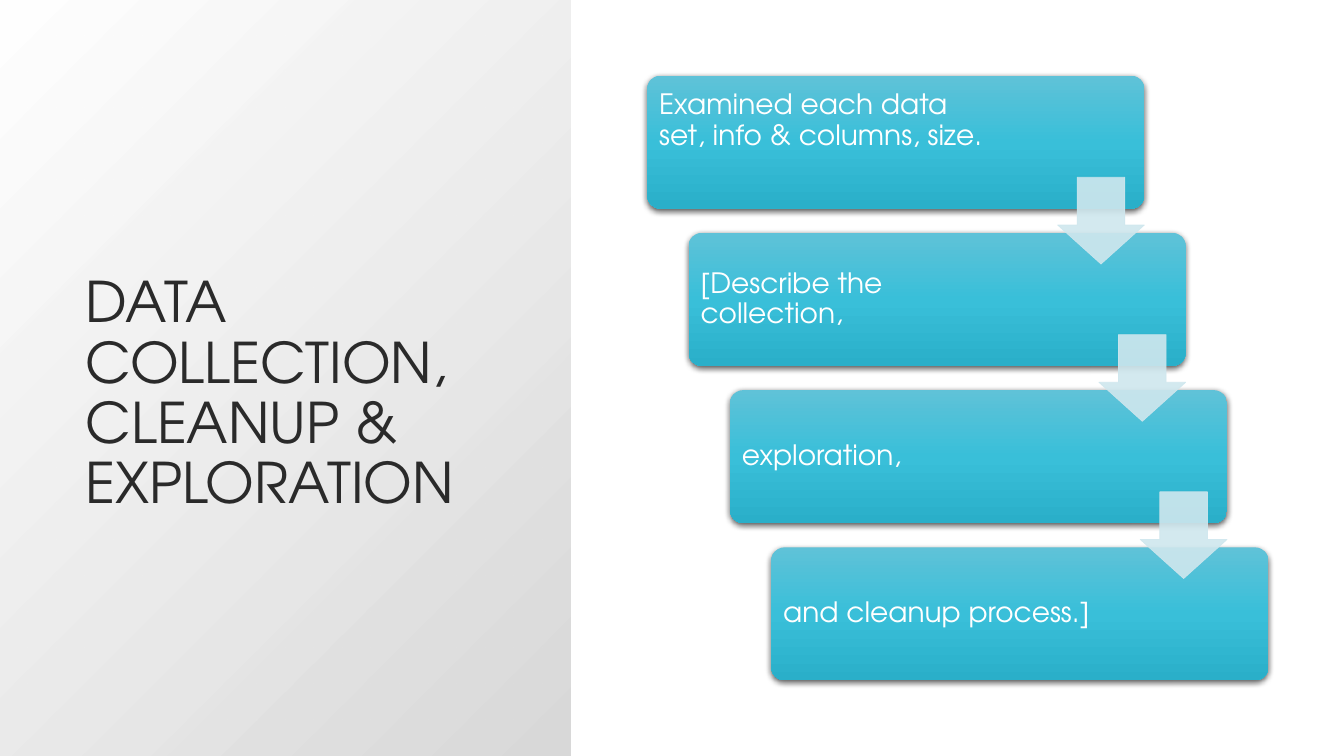
from lxml import etree
from pptx import Presentation
from pptx import util as u
from pptx.dml.color import RGBColor
from pptx.enum import shapes, text
from pptx.oxml.ns import qn

TITLE = "DATA COLLECTION, CLEANUP & EXPLORATION"
# Step text and its bottom inset in inches
STEPS = [
    ("Examined each data set, info & columns, size.", 0.5),
    ("[Describe the collection,", 0.08),
    ("exploration,", 0.08),
    ("and cleanup process.]", 0.08),
]

FONT = "TeX Gyre Adventor"
DARK = RGBColor(0x2A, 0x2A, 0x2A)
WHITE = RGBColor(0xFF, 0xFF, 0xFF)
GREY = RGBColor(0xD9, 0xD9, 0xD9)
BLACK = RGBColor(0x00, 0x00, 0x00)
PALE = RGBColor(0xCF, 0xE7, 0xEE)
TEALS = [RGBColor(0x5F, 0xC2, 0xD8), RGBColor(0x39, 0xBF, 0xD9), RGBColor(0x2A, 0xAF, 0xC9)]

FIRST_LEFT, FIRST_TOP = 6.42, 0.75
STEP_X, STEP_Y = 0.41, 1.56
BOX_W, BOX_H = 4.93, 1.32
ARROW, ARROW_DROP = 0.86, 1.01


def add_color(parent, color, alpha=100):
    node = etree.SubElement(parent, qn("a:srgbClr"), val=str(color))
    if alpha < 100:
        etree.SubElement(node, qn("a:alpha"), val=str(alpha * 1000))


def set_gradient(shape, stops):
    """Fill with (position, colour, alpha) stops; return the element for its direction."""
    shape.fill.solid()
    solid = shape._element.spPr.find(qn("a:solidFill"))
    gradient = etree.Element(qn("a:gradFill"), rotWithShape="1")
    solid.getparent().replace(solid, gradient)
    stop_list = etree.SubElement(gradient, qn("a:gsLst"))
    for position, color, alpha in stops:
        stop = etree.SubElement(stop_list, qn("a:gs"), pos=str(position * 1000))
        add_color(stop, color, alpha)
    return gradient


def add_shape(slide, kind, left, top, width, height):
    shape = slide.shapes.add_shape(kind, *map(u.Inches, (left, top, width, height)))
    shape.shadow.inherit = False
    shape.line.fill.background()
    return shape


def write(shape, words, size, color):
    frame = shape.text_frame
    frame.text = words
    frame.word_wrap = True
    para = frame.paragraphs[0]
    para.alignment = text.PP_ALIGN.LEFT
    para.line_spacing = 0.9
    font = para.runs[0].font
    font.name, font.size, font.color.rgb = FONT, u.Pt(size), color
    return frame


def add_panel(slide):
    panel = add_shape(slide, shapes.MSO_SHAPE.RECTANGLE, 0, 0, 5.66, 7.5)
    gradient = set_gradient(panel, [(0, GREY, 100), (100, WHITE, 89)])
    direction = etree.SubElement(gradient, qn("a:path"), path="circle")
    etree.SubElement(direction, qn("a:fillToRect"), l="100000", t="100000")
    slide.shapes._spTree.insert(2, panel._element)  # behind the title


def add_title(slide):
    title = slide.shapes.title
    title.left, title.top = u.Inches(0.75), u.Inches(0.75)
    title.width, title.height = u.Inches(4.25), u.Inches(4.42)
    frame = write(title, TITLE, 40, DARK)
    frame.auto_size = text.MSO_AUTO_SIZE.NONE
    frame.vertical_anchor = text.MSO_ANCHOR.BOTTOM


def add_step(slide, left, top, words, bottom_inset):
    box = add_shape(slide, shapes.MSO_SHAPE.ROUNDED_RECTANGLE, left, top, BOX_W, BOX_H)
    box.adjustments[0] = 0.1
    gradient = set_gradient(box, [(50 * i, color, 100) for i, color in enumerate(TEALS)])
    etree.SubElement(gradient, qn("a:lin"), ang="5400000", scaled="0")
    effects = box._element.spPr.find(qn("a:effectLst"))
    shadow = etree.SubElement(effects, qn("a:outerShdw"), blurRad=str(u.Pt(4.5)),
                              dist=str(u.Pt(1.5)), dir="5400000", rotWithShape="0")
    add_color(shadow, BLACK, 63)
    frame = write(box, words, 20, WHITE)
    frame.vertical_anchor = text.MSO_ANCHOR.MIDDLE
    frame.margin_left = frame.margin_top = u.Inches(0.08)
    frame.margin_right, frame.margin_bottom = u.Inches(1.53), u.Inches(bottom_inset)


def add_arrow(slide, left, top):
    arrow = add_shape(slide, shapes.MSO_SHAPE.DOWN_ARROW, left, top, ARROW, ARROW)
    arrow.adjustments[0], arrow.adjustments[1] = 0.55, 0.45
    arrow.line.width = u.Pt(0.5)
    for fill in (arrow.fill, arrow.line.fill):
        fill.solid()
        fill.fore_color.rgb = PALE
    for color in arrow._element.spPr.iter(qn("a:srgbClr")):
        etree.SubElement(color, qn("a:alpha"), val="90000")


def main():
    deck = Presentation()
    deck.slide_width, deck.slide_height = u.Inches(13.33), u.Inches(7.5)
    slide = deck.slides.add_slide(deck.slide_layouts[5])
    add_panel(slide)
    add_title(slide)
    corners = [(FIRST_LEFT + i * STEP_X, FIRST_TOP + i * STEP_Y) for i in range(len(STEPS))]
    for (left, top), (words, bottom_inset) in zip(corners, STEPS):
        add_step(slide, left, top, words, bottom_inset)
    for left, top in corners[:-1]:
        add_arrow(slide, left + BOX_W - ARROW, top + ARROW_DROP)
    deck.save("out.pptx")


if __name__ == "__main__":
    main()
